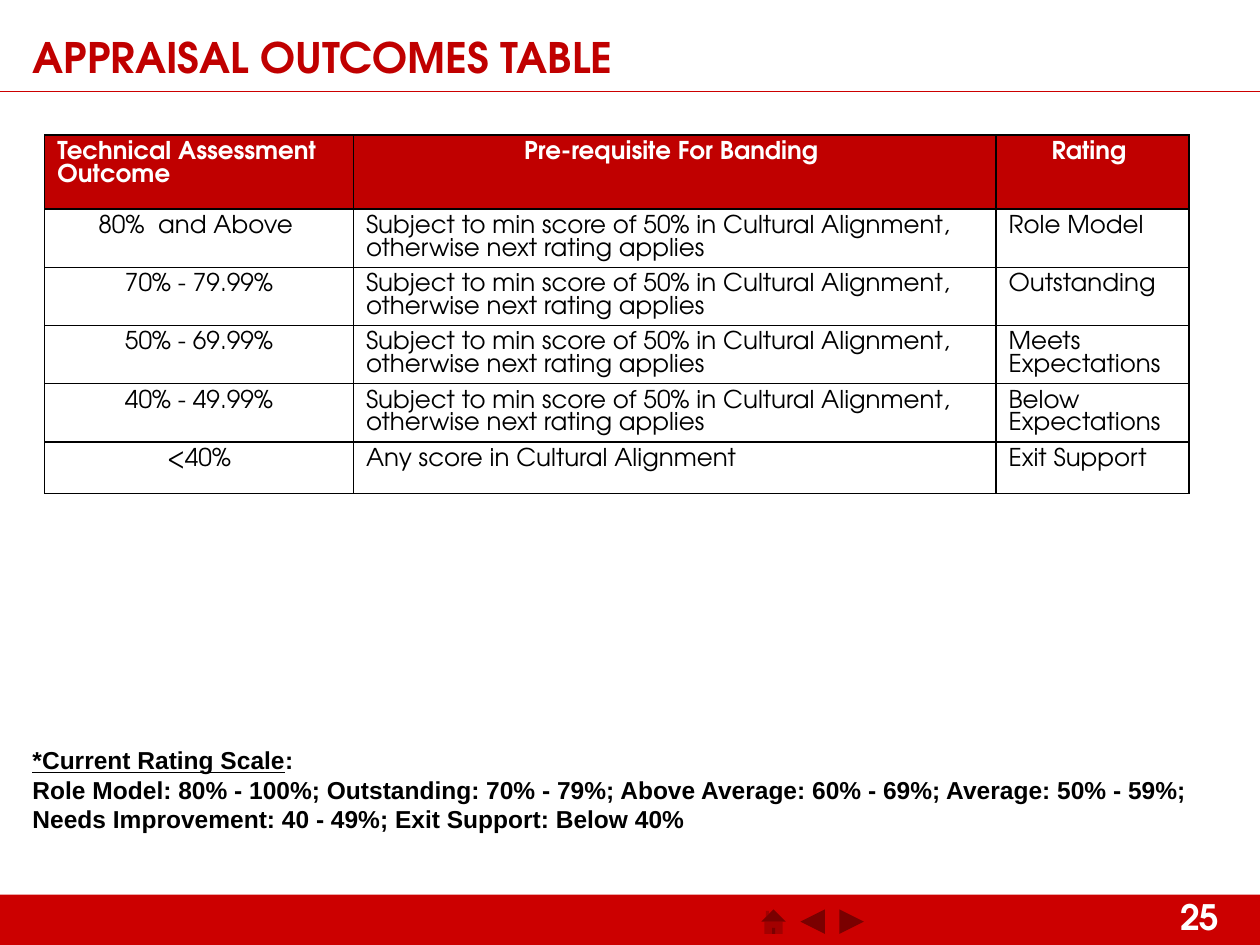
from lxml import etree
from pptx import Presentation, util as u
from pptx.dml.color import RGBColor
from pptx.enum import shapes, text
from pptx.oxml.ns import qn

HUES = {"bar": "CC0000", "head": "C00000", "white": "FFFFFF", "black": "000000"}
LEFT, MID = text.PP_ALIGN.LEFT, text.PP_ALIGN.CENTER
KIND = shapes.MSO_SHAPE


class Deck:
    """Holds the style and the current slide; lengths are shares of its size."""
    face = "TeX Gyre Adventor"
    wide, high = u.Inches(10), u.Inches(7.5)

    def __init__(self):
        self.file = Presentation()
        self.file.slide_width, self.file.slide_height = self.wide, self.high
        self.page = self.file.slides.add_slide(self.file.slide_layouts[6])

    def place(self, x, y, w, h):
        return [round(x * self.wide), round(y * self.high),
                round(w * self.wide), round(h * self.high)]

    def hue(self, name):
        return RGBColor.from_string(HUES[name])

    def paint(self, item, name):
        item.fill.solid()
        item.fill.fore_color.rgb = self.hue(name)

    def run(self, para, words, size, hue, bold=True, face=None, under=False):
        run = para.add_run()
        run.text = words
        font = run.font
        font.name, font.size = face or self.face, u.Pt(size)
        font.bold, font.underline = bold, under
        font.color.rgb = self.hue(hue)

    def shape(self, kind, spot, hue, flip=False):
        item = self.page.shapes.add_shape(kind, *self.place(*spot))
        item.shadow.inherit = False
        self.paint(item, hue)
        item.line.fill.background()
        if flip:
            item._element.spPr.find(qn("a:xfrm")).set("flipH", "1")

    def line(self, x, y, end, hue, width):
        left, top, span, _ = self.place(x, y, end - x, 0)
        item = self.page.shapes.add_connector(
            shapes.MSO_CONNECTOR.STRAIGHT, left, top, left + span, top)
        item.line.color.rgb = self.hue(hue)
        item.line.width = u.Pt(width)
        etree.SubElement(item._element.spPr, qn("a:effectLst"))

    def text(self, spot, paras, size, hue, face=None):
        frame = self.page.shapes.add_textbox(*self.place(*spot)).text_frame
        frame.word_wrap = True
        for i, runs in enumerate(paras):
            para = frame.add_paragraph() if i else frame.paragraphs[0]
            for words, under in runs:
                self.run(para, words, size, hue, face=face, under=under)

    def edge(self, cell, width=1):
        props = cell._tc.get_or_add_tcPr()
        for i, side in enumerate(("lnL", "lnR", "lnT", "lnB")):
            line = etree.Element(qn("a:" + side), w=str(u.Pt(width)))
            fill = etree.SubElement(line, qn("a:solidFill"))
            etree.SubElement(fill, qn("a:srgbClr"), val=HUES["black"])
            props.insert(i, line)

    def table(self, spot, cols, rows, data, size, pitch):
        grid = self.page.shapes.add_table(
            len(rows), len(cols), *self.place(*spot)).table
        for col, w in zip(grid.columns, cols):
            col.width = u.Inches(w)
        for r, (row, h) in enumerate(zip(grid.rows, rows)):
            row.height = u.Inches(h)
            for c, words in enumerate(data[r]):
                cell = grid.cell(r, c)
                head = r == 0
                self.paint(cell, "head" if head else "white")
                self.edge(cell)
                para = cell.text_frame.paragraphs[0]
                para.alignment = MID if head != (c == 0) else LEFT
                para.line_spacing = u.Pt(pitch)
                self.run(para, words, size, "white" if head else "black", head)


def main():
    deck = Deck()

    # Footer bar, page number and navigation buttons
    deck.shape(KIND.RECTANGLE, (0, 7.1 / 7.5, 1, 0.4 / 7.5), "bar")
    deck.text((0.927, 7.06 / 7.5, 0.073, 0.43 / 7.5), [[("25", False)]], 20, "white")
    buttons = (KIND.ACTION_BUTTON_HOME, KIND.ACTION_BUTTON_FORWARD_OR_NEXT,
               KIND.ACTION_BUTTON_BACK_OR_PREVIOUS)
    for i, kind in enumerate(buttons):
        deck.shape(kind, (0.601 + 0.031 * i, 7.15 / 7.5, 0.026, 0.33 / 7.5),
                   "bar", flip=True)

    # Title and rule
    deck.line(0, 0.725 / 7.5, 1, "bar", 0.75)
    deck.text((0.016, 0.2 / 7.5, 0.555, 0.55 / 7.5),
              [[("APPRAISAL OUTCOMES TABLE", False)]], 24, "head")

    # Outcomes table
    rule = ("Subject to min score of 50% in Cultural Alignment, "
            "otherwise next rating applies")
    data = [
        ("Technical Assessment Outcome", "Pre-requisite For Banding ", "Rating "),
        ("80%  and Above ", rule, "Role Model"),
        ("70% - 79.99%", rule, "Outstanding"),
        ("50% - 69.99%", rule, "Meets Expectations"),
        ("40% - 49.99%", rule, "Below Expectations"),
        ("<40%", "Any score in Cultural Alignment", "Exit Support"),
    ]
    deck.table((0.0355, 1.07 / 7.5, 0.908, 2.55 / 7.5), (2.45, 5.1, 1.53),
               (0.59, 0.41, 0.41, 0.41, 0.32, 0.41), data, 14, 13)

    # Current scale
    scale = ("Role Model: 80% - 100%; Outstanding: 70% - 79%; "
             "Above Average: 60% - 69%; Average: 50% - 59%; "
             "Needs Improvement: 40 - 49%; Exit Support: Below 40%")
    deck.text((0.016, 5.865 / 7.5, 0.947, 0.81 / 7.5),
              [[("*Current Rating Scale", True), (":", False)], [(scale, False)]],
              14, "black", face="Arial")

    deck.file.save("out.pptx")


if __name__ == "__main__":
    main()
